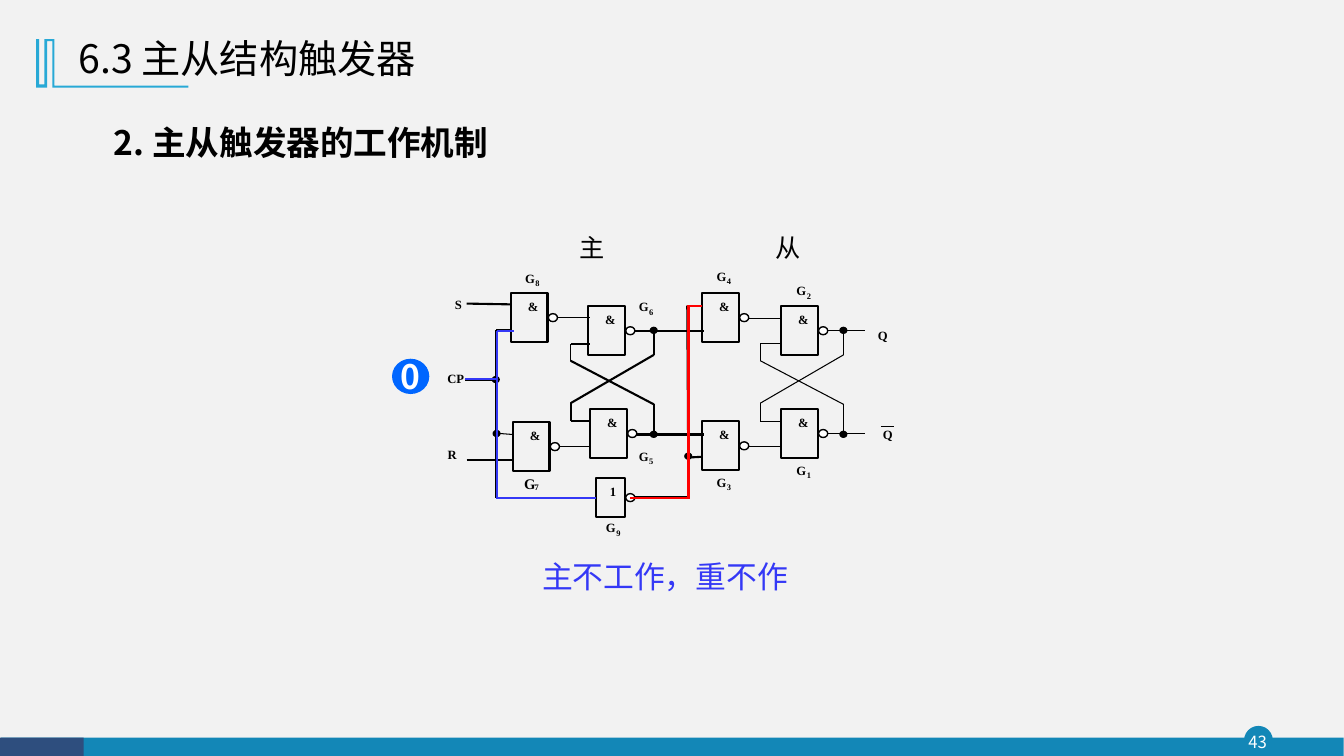
"""Build the slide on how a master-slave flip-flop works."""
from lxml.etree import SubElement
from pptx import Presentation
from pptx.dml.color import RGBColor
from pptx.enum.shapes import MSO_CONNECTOR, MSO_SHAPE as SHAPE
from pptx.enum.text import MSO_ANCHOR as ANCHOR, PP_ALIGN as ALIGN
from pptx.oxml.ns import qn
from pptx.util import Cm, Pt

SANS, SERIF = "Noto Sans CJK SC", "Times New Roman"
BLACK, WHITE, RED, BLUE, TEAL = "000000", "FFFFFF", "FF0000", "3438F6", "1387B7"
color = RGBColor.from_string

deck = Presentation()
deck.slide_width, deck.slide_height = Cm(33.87), Cm(19.05)
slide = deck.slides.add_slide(deck.slide_layouts[6])
slide.background.fill.solid()
slide.background.fill.fore_color.rgb = color("F2F2F2")


def draw(kind, left, top, width, height, fill=None, line=None, weight=1):
    """Add a preset shape, measured in centimetres."""
    shape = slide.shapes.add_shape(kind, Cm(left), Cm(top), Cm(width), Cm(height))
    shape.shadow.inherit = False
    if fill:
        shape.fill.solid()
        shape.fill.fore_color.rgb = color(fill)
    else:
        shape.fill.background()
    if line:
        shape.line.color.rgb = color(line)
        shape.line.width = Pt(weight)
    else:
        shape.line.fill.background()
    return shape


def write(shape, text, size, ink=BLACK, face=SANS, bold=False, align=ALIGN.LEFT,
          anchor=ANCHOR.TOP, wrap=True, inset=True):
    """Put one styled paragraph into a shape."""
    frame = shape.text_frame
    frame.word_wrap, frame.vertical_anchor = wrap, anchor
    if not inset:
        frame.margin_left = frame.margin_right = frame.margin_top = frame.margin_bottom = 0
    paragraph = frame.paragraphs[0]
    paragraph.text, paragraph.alignment = text, align
    font = paragraph.font
    font.size, font.bold, font.name = Pt(size), bold, face
    font.color.rgb = color(ink)
    SubElement(paragraph._p.pPr.find(qn("a:defRPr")), qn("a:ea"), typeface=face)
    return paragraph


draw(SHAPE.OVAL, 31.37, 18.31, 0.69, 0.69, TEAL, TEAL)
draw(SHAPE.RECTANGLE, 0.03, 18.59, 33.83, 0.48, TEAL)
draw(SHAPE.RECTANGLE, 0, 18.59, 2.11, 0.48, "2E4E7E")
page = slide.shapes.add_textbox(Cm(31.29), Cm(18.31), Cm(0.81), Cm(0.79))
write(page, "43", 12, WHITE, align=ALIGN.CENTER, anchor=ANCHOR.MIDDLE, inset=False)

ornament_points = [
    (1.37, 0.99), (1.37, 2.16), (4.75, 2.16), (4.75, 2.21), (1.32, 2.21), (1.32, 1.04),
    (1.19, 1.04), (1.19, 2.21), (0.91, 2.21), (0.91, 0.99), (0.99, 0.99), (0.99, 2.13),
    (1.12, 2.13), (1.12, 0.99)]
outline = [(Cm(x), Cm(y)) for x, y in ornament_points]
builder = slide.shapes.build_freeform(*outline[0])
builder.add_line_segments(outline[1:], close=True)
ornament = builder.convert_to_shape()
ornament.shadow.inherit = False
ornament.fill.solid()
ornament.fill.fore_color.rgb = color("28A9D6")
ornament.line.fill.background()

title = slide.shapes.add_textbox(Cm(1.73), Cm(0.66), Cm(20.4), Cm(1.73))
write(title, "6.3 主从结构触发器", 28, anchor=ANCHOR.MIDDLE).line_spacing = 0.9
heading = slide.shapes.add_textbox(Cm(2.62), Cm(2.95), Cm(11), Cm(1.5))
write(heading, "2. 主从触发器的工作机制", 24, bold=True)

gates = [
    ("6", 14.83, 7.72, 16.1, 7.54), ("5", 14.88, 10.31, 16.1, 11.3),
    ("7", 12.93, 10.64, 13.21, 11.96), ("8", 12.88, 7.39, 13.23, 6.83),
    ("4", 17.7, 7.39, 18.06, 6.78), ("3", 17.7, 10.62, 18.06, 11.96),
    ("2", 19.69, 7.72, 20.07, 7.14), ("1", 19.69, 10.31, 20.07, 11.66),
    ("9", 15.01, 12.04, 15.27, 13.11)]
labels = [("S", 11.43, 7.47, 9), ("CP", 11.27, 9.35, 9), ("R", 11.27, 11.25, 9),
          ("Q", 22.12, 8.26, 9), ("Q", 22.25, 10.77, 9)]
bubbles = []
for number, left, top, name_left, name_top in gates:
    width, height, symbol = (0.74, 1, "1") if number == "9" else (0.92, 1.23, "&")
    inverter = draw(SHAPE.RECTANGLE, left, top, width, height, line=BLACK, weight=1.5)
    bubbles.append((left + width + 0.02, top + height / 2 - 0.1))
    labels += [(symbol, left + 0.6 * width - 0.13, top + 0.15, 9),
               ("G", name_left, name_top, 10.5 if number == "7" else 9),
               (number, name_left + 0.19, name_top + 0.19, 6)]

wires = [
    (20.75, 10.93, 21.79, 10.93, 0.75), (20.75, 8.33, 21.79, 8.33, 0.75),
    (15.82, 12.52, 17.32, 12.52, 1.5), (15.75, 8.33, 17.75, 8.33, 1.5),
    (15.98, 10.95, 17.73, 10.95, 1.5), (13.97, 8, 14.88, 8, 0.75),
    (13.97, 11.25, 14.88, 11.25, 0.75), (18.77, 8.03, 19.69, 8.03, 0.75),
    (18.77, 11.25, 19.69, 11.25, 0.75), (12.5, 8.31, 12.85, 8.31, 1.5),
    (11.76, 7.65, 12.9, 7.67, 1.5), (12.5, 8.31, 12.5, 12.54, 1.5),
    (12.55, 10.92, 12.93, 10.95, 0.75), (11.76, 11.58, 12.9, 11.58, 1.5),
    (11.71, 9.58, 12.52, 9.58, 1.5), (17.32, 7.7, 17.7, 7.7, 0.75),
    (17.32, 7.7, 17.35, 12.52, 1.5), (12.52, 12.54, 15.01, 12.54, 1.5),
    (17.32, 11.53, 17.7, 11.51, 1.5), (22.2, 10.74, 22.53, 10.74, 0.75)]
for shift, weight in [(0, 1.5), (4.78, 0.75)]:
    inner, outer, gate_side = 14.38 + shift, 16.48 + shift, 14.88 + shift
    wires += [
        (inner, 9.09, inner, 8.66, 0.75), (outer, 8.94, inner, 10.16, weight),
        (outer, 10.19, inner, 9.09, weight), (outer, 8.94, outer, 8.33, weight),
        (inner, 8.66, gate_side, 8.66, weight), (inner, 10.62, gate_side, 10.62, weight),
        (inner, 10.62, inner, 10.16, weight), (outer, 10.95, outer, 10.19, weight)]
signals = [
    (15.88, 12.55, 17.37, 12.55, RED), (17.32, 7.7, 17.7, 7.7, RED),
    (17.35, 7.7, 17.35, 12.57, RED), (12.52, 8.33, 12.95, 8.33, BLUE),
    (12.52, 8.33, 12.52, 12.57, BLUE), (11.73, 9.55, 12.55, 9.55, BLUE),
    (12.52, 12.54, 15.01, 12.54, BLUE)]
junctions = [(16.48, 8.32), (16.48, 10.94), (12.5, 9.56), (12.52, 10.92),
             (17.35, 11.49), (21.26, 8.32), (21.26, 10.94)]

all_lines = [(*wire, BLACK) for wire in wires]
all_lines += [(*ends, 1.5, ink) for *ends, ink in signals]
for order, (x1, y1, x2, y2, weight, ink) in enumerate(all_lines):
    if order == len(wires):
        for left, top in bubbles:
            draw(SHAPE.OVAL, left, top, 0.23, 0.2, WHITE, BLACK)
        for x, y in junctions:
            draw(SHAPE.OVAL, x - 0.08, y - 0.06, 0.15, 0.13, BLACK, BLACK, 1.5)
    line = slide.shapes.add_connector(MSO_CONNECTOR.STRAIGHT, Cm(x1), Cm(y1), Cm(x2), Cm(y2))
    if (x2, y2) == (15.01, 12.54):
        line.end_connect(inverter, 1)
    line.line.color.rgb = color(ink)
    line.line.width = Pt(weight)
    SubElement(line._element.spPr, qn("a:effectLst"))

for text, left, top, size in labels:
    width = 0.43 if text == "CP" else 0.25
    label = slide.shapes.add_textbox(Cm(left), Cm(top), Cm(width), Cm(size * 0.042))
    write(label, text, size, face=SERIF, bold=True, align=ALIGN.CENTER, wrap=False, inset=False)

clock_level = draw(SHAPE.OVAL, 9.88, 9.04, 0.94, 0.89, "0066FF")
write(clock_level, "0", 24, WHITE, bold=True, align=ALIGN.CENTER, anchor=ANCHOR.MIDDLE, wrap=False)
captions = [("主不工作，重不作", 13.41, 13.92, 7.11, 1.19, 22, BLUE),
            ("主", 14.35, 5.74, 1.42, 1.02, 18, BLACK),
            ("从", 19.3, 5.74, 1.42, 1.02, 18, BLACK)]
for text, left, top, width, height, size, ink in captions:
    caption = slide.shapes.add_textbox(Cm(left), Cm(top), Cm(width), Cm(height))
    write(caption, text, size, ink)

deck.save("out.pptx")
